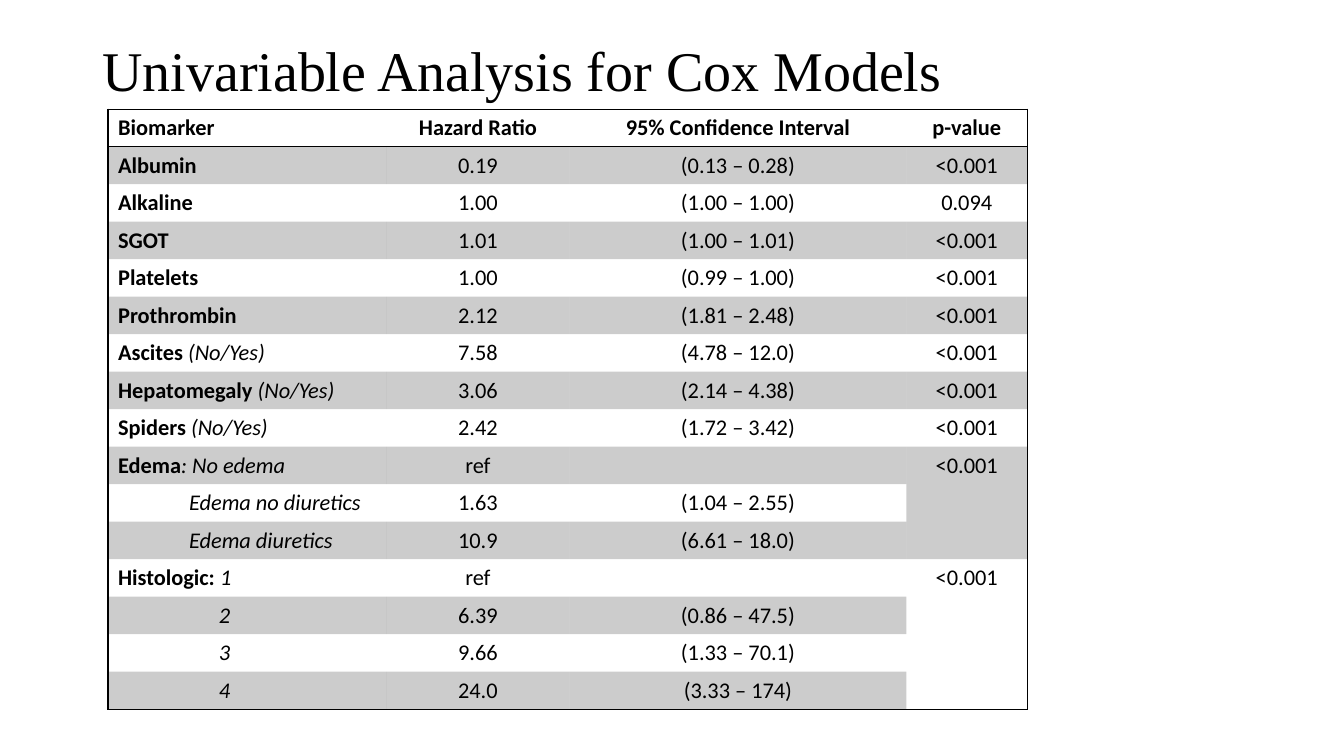
"""Build a slide with a table of univariable Cox model results."""
import pptx
import pptx.dml.color
import pptx.enum.text
import pptx.oxml.ns
import pptx.util
from lxml import etree

Pt = pptx.util.Pt
qn = pptx.oxml.ns.qn
LEFT = pptx.enum.text.PP_ALIGN.LEFT
CENTER = pptx.enum.text.PP_ALIGN.CENTER

TITLE = "Univariable Analysis for Cox Models"
HEADER = ("Biomarker", "Hazard Ratio", "95% Confidence Interval", "p-value")
ROWS = [
    ("Albumin", "", 0, "0.19", "(0.13 – 0.28)", "<0.001"),
    ("Alkaline", "", 0, "1.00", "(1.00 – 1.00)", "0.094"),
    ("SGOT", "", 0, "1.01", "(1.00 – 1.01)", "<0.001"),
    ("Platelets", "", 0, "1.00", "(0.99 – 1.00)", "<0.001"),
    ("Prothrombin", "", 0, "2.12", "(1.81 – 2.48)", "<0.001"),
    ("Ascites ", "(No/Yes)", 0, "7.58", "(4.78 – 12.0)", "<0.001"),
    ("Hepatomegaly ", "(No/Yes)", 0, "3.06", "(2.14 – 4.38)", "<0.001"),
    ("Spiders ", "(No/Yes)", 0, "2.42", "(1.72 – 3.42)", "<0.001"),
    ("Edema", ": No edema", 0, "ref", "", "<0.001"),
    ("", "Edema no diuretics", 50.7, "1.63", "(1.04 – 2.55)", ""),
    ("", "Edema diuretics", 50.7, "10.9", "(6.61 – 18.0)", ""),
    ("Histologic: ", "1", 0, "ref", "", "<0.001"),
    ("", "2", 72, "6.39", "(0.86 – 47.5)", ""),
    ("", "3", 72, "9.66", "(1.33 – 70.1)", ""),
    ("", "4", 72, "24.0", "(3.33 – 174)", ""),
]
P_VALUE_SPANS = [(9, 11), (12, 15)]

THEME = {
    "ink": "000000", "band_alpha": "20000", "line": 1,
    "title_font": "Times New Roman", "title_size": 40,
    "font": "Calibri", "size": 16,
    "table_style": "{2D5ABB26-0587-4C30-8999-92F81FD0307C}",
}
SLIDE = (960, 540)
TITLE_BOX = (66, 0, 828, 104.4)
TABLE_AT = (77.2, 78)
COLUMNS = (198.7, 131, 240.5, 86.4)
ROW_HEIGHT = 26.8


def write(tf, *runs, font=THEME["font"], size=THEME["size"], align=LEFT,
          indent=0, spacing=None):
    """Write (text, bold, italic) runs into the first paragraph."""
    p = tf.paragraphs[0]
    p.alignment = align
    if spacing:
        p.line_spacing = spacing
    if indent:
        p._p.get_or_add_pPr().set("marL", str(Pt(indent)))
    for text, bold, italic in runs:
        if text:
            r = p.add_run()
            r.text = text
            r.font.name, r.font.size = font, Pt(size)
            r.font.bold, r.font.italic = bold, italic
            r.font.color.rgb = pptx.dml.color.RGBColor.from_string(THEME["ink"])
    if not p.runs:
        end = etree.SubElement(p._p, qn("a:endParaRPr"), sz=str(size * 100))
        etree.SubElement(end, qn("a:latin"), typeface=font)


def draw_borders(cell, sides):
    """Draw lines on the named sides of a cell."""
    tcPr = cell._tc.get_or_add_tcPr()
    for side in sides:
        ln = etree.SubElement(tcPr, qn("a:ln" + side), w=str(Pt(THEME["line"])))
        fill = etree.SubElement(ln, qn("a:solidFill"))
        etree.SubElement(fill, qn("a:srgbClr"), val=THEME["ink"])


def shade(cell):
    """Fill a cell with the translucent band colour."""
    cell.fill.solid()
    cell.fill.fore_color.rgb = pptx.dml.color.RGBColor.from_string(THEME["ink"])
    color = cell._tc.tcPr.find(qn("a:solidFill")).find(qn("a:srgbClr"))
    etree.SubElement(color, qn("a:alpha"), val=THEME["band_alpha"])


def fill_cell(cell, row, col):
    """Write the text of one cell."""
    if row == 0:
        write(cell.text_frame, (HEADER[col], True, False),
              align=CENTER if col else LEFT)
        return
    name, detail, indent, *values = ROWS[row - 1]
    if col == 0:
        write(cell.text_frame, (name, True, False), (detail, False, True),
              indent=indent)
    else:
        write(cell.text_frame, (values[col - 1], False, False), align=CENTER)


def add_results(s):
    """Add the results table."""
    count, last = len(ROWS) + 1, len(COLUMNS) - 1
    frame = s.shapes.add_table(count, len(COLUMNS), *map(Pt, TABLE_AT),
                               Pt(sum(COLUMNS)), Pt(ROW_HEIGHT * count))
    table = frame.table
    table.first_row = table.horz_banding = False
    table._tbl.tblPr.find(qn("a:tableStyleId")).text = THEME["table_style"]
    for column, width in zip(table.columns, COLUMNS):
        column.width = Pt(width)
    for first, end in P_VALUE_SPANS:
        table.cell(first, last).merge(table.cell(end, last))
    for row in range(count):
        table.rows[row].height = Pt(ROW_HEIGHT)
        for col in range(len(COLUMNS)):
            cell = table.cell(row, col)
            fill_cell(cell, row, col)
            bottom = row + cell.span_height if cell.is_merge_origin else row + 1
            edges = {"L": col == 0, "R": col == last, "T": row == 0,
                     "B": row == 0 or bottom == count}
            draw_borders(cell, [side for side, on in edges.items() if on])
            if row % 2 and not cell.is_spanned:
                shade(cell)


def main():
    """Build and save the slide."""
    prs = pptx.Presentation()
    prs.slide_width, prs.slide_height = map(Pt, SLIDE)
    s = prs.slides.add_slide(prs.slide_layouts[5])
    sp = s.shapes.title
    sp.left, sp.top, sp.width, sp.height = map(Pt, TITLE_BOX)
    sp.text_frame.vertical_anchor = pptx.enum.text.MSO_ANCHOR.MIDDLE
    write(sp.text_frame, (TITLE, False, False), font=THEME["title_font"],
          size=THEME["title_size"], spacing=0.9)
    add_results(s)
    prs.save("out.pptx")


if __name__ == "__main__":
    main()
